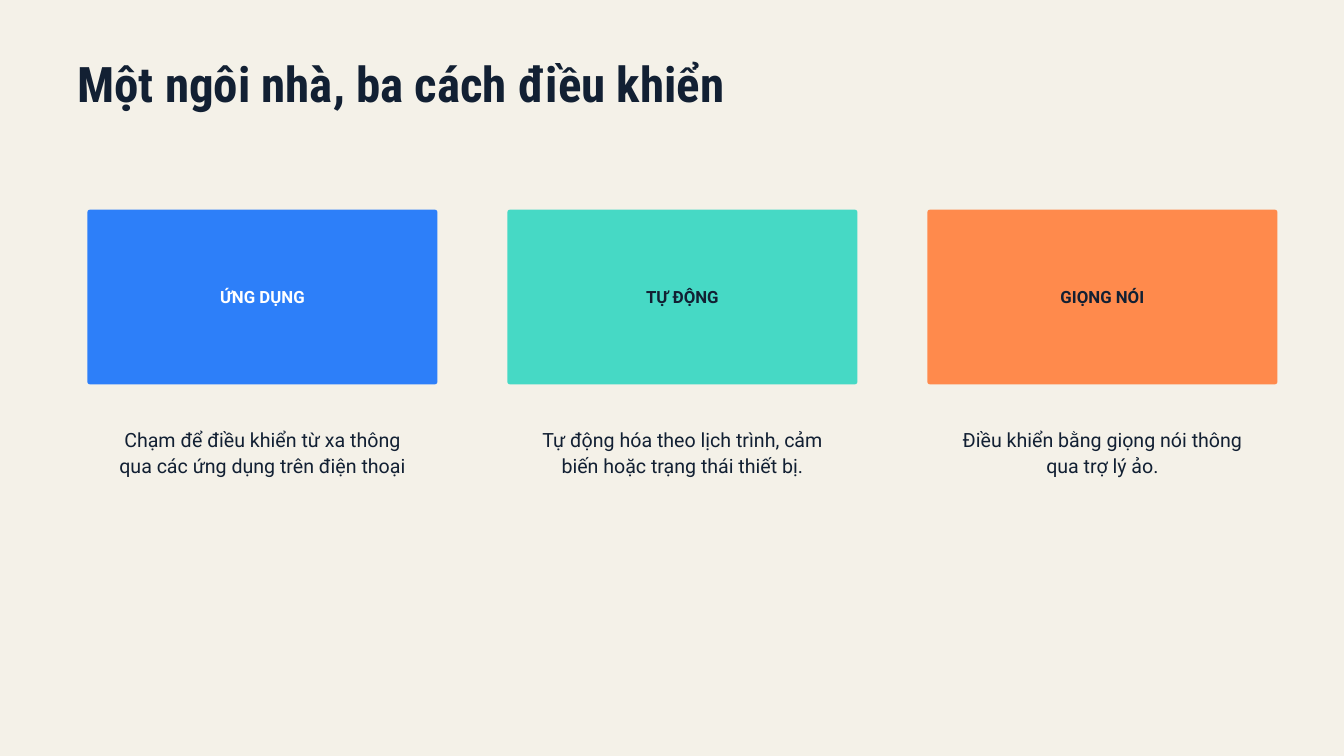
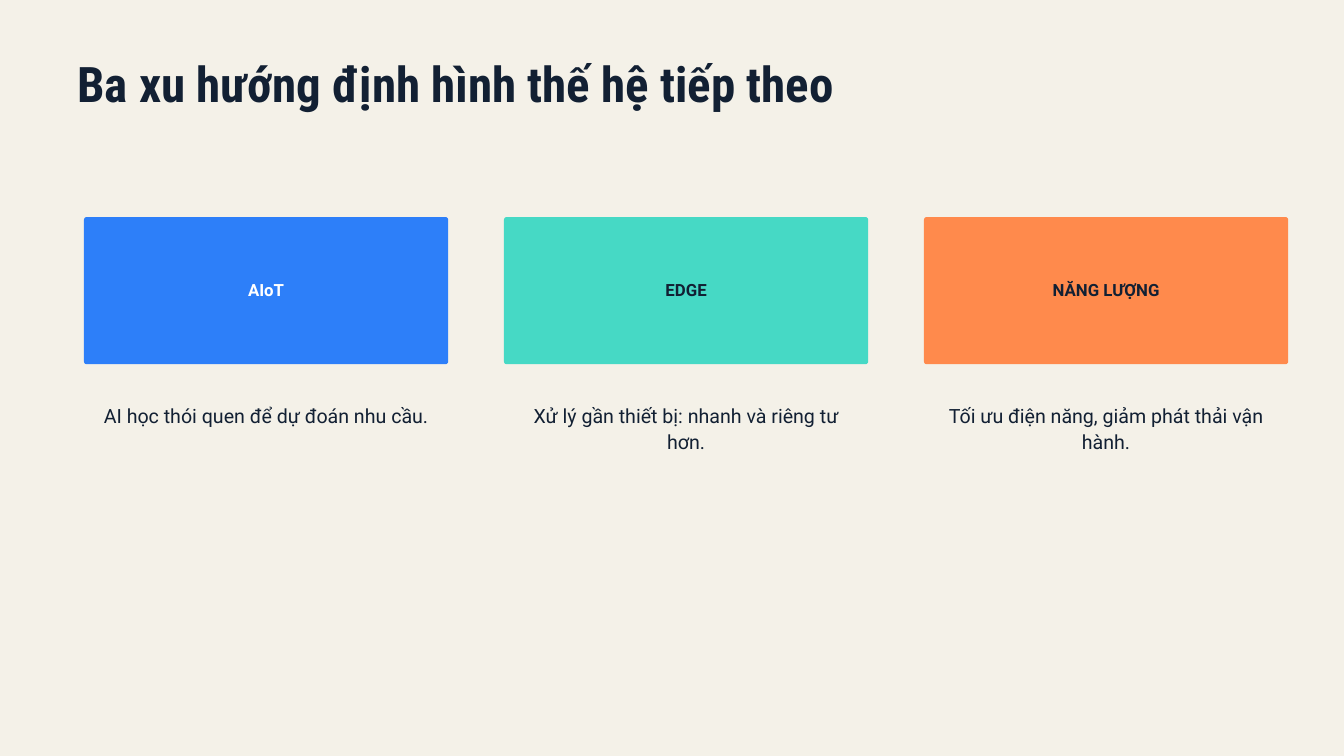
from dataclasses import dataclass

from pptx import Presentation
from pptx.dml.color import RGBColor
from pptx.enum.shapes import MSO_SHAPE as Shape
from pptx.enum.text import MSO_ANCHOR as Anchor, MSO_AUTO_SIZE as AutoSize, PP_ALIGN as Align
from pptx.util import Inches, Pt

COLORS = {
    "cream": "F4F1E8",
    "navy": "122033",
    "white": "FFFFFF",
    "blue": "2D7FF9",
    "teal": "46D9C5",
    "orange": "FF8A4C",
}
CARD_STYLES = [("blue", "white"), ("teal", "navy"), ("orange", "navy")]
COLUMN_PITCH = 6.25
CORNER_RADIUS = 0.04


@dataclass
class ColumnLayout:
    """Sizes in inches of the cards and captions on one slide."""
    left: float
    card_top: float
    card_width: float
    card_height: float
    caption_top: float
    caption_width: float


CONTROL_LAYOUT = ColumnLayout(1.3, 3.12, 5.21, 2.6, 6.32, 4.48)
TREND_LAYOUT = ColumnLayout(1.25, 3.23, 5.42, 2.19, 5.96, 5)

CONTROLS = [
    ("ỨNG DỤNG", "Chạm để điều khiển từ xa thông qua các ứng dụng trên điện thoại", 1.14),
    ("TỰ ĐỘNG", "Tự động hóa theo lịch trình, cảm biến hoặc trạng thái thiết bị.", 1.53),
    ("GIỌNG NÓI", "Điều khiển bằng giọng nói thông qua trợ lý ảo.", 1.14),
]
TRENDS = [
    ("AIoT", "AI học thói quen để dự đoán nhu cầu.", 0.76),
    ("EDGE", "Xử lý gần thiết bị: nhanh và riêng tư hơn.", 0.76),
    ("NĂNG LƯỢNG", "Tối ưu điện năng, giảm phát thải vận hành.", 0.76),
]


def rgb(name):
    """Return the named colour."""
    return RGBColor.from_string(COLORS[name])


def write(frame, text, size, spacing, font="Roboto", color="navy", bold=False,
          align=Align.CENTER, inset=0):
    """Fill a text frame with one styled, wrapping paragraph."""
    frame.word_wrap = True
    frame.margin_left = frame.margin_right = Inches(inset)
    frame.margin_top = frame.margin_bottom = Inches(inset)
    paragraph = frame.paragraphs[0]
    paragraph.text = text
    paragraph.alignment = align
    paragraph.line_spacing = Pt(spacing)
    paragraph.font.name = font
    paragraph.font.size = Pt(size)
    paragraph.font.bold = bold
    paragraph.font.color.rgb = rgb(color)


def add_text(slide, box, text, size, spacing, **style):
    """Add a text box that grows with its text."""
    frame = slide.shapes.add_textbox(*map(Inches, box)).text_frame
    write(frame, text, size, spacing, **style)
    frame.auto_size = AutoSize.SHAPE_TO_FIT_TEXT


def add_card(slide, box, label, fill, ink):
    """Add a coloured card with slightly rounded corners and a label."""
    card = slide.shapes.add_shape(Shape.ROUNDED_RECTANGLE, *map(Inches, box))
    card.adjustments[0] = CORNER_RADIUS / box[3]
    card.shadow.inherit = False
    card.fill.solid()
    card.fill.fore_color.rgb = rgb(fill)
    card.line.fill.background()
    card.text_frame.vertical_anchor = Anchor.MIDDLE
    write(card.text_frame, label, 18, 20.7, color=ink, bold=True, inset=0.06)


def add_columns(slide, layout, columns):
    """Add a row of cards with a centred caption under each."""
    caption_indent = (layout.card_width - layout.caption_width) / 2
    for index, ((label, caption, height), (fill, ink)) in enumerate(zip(columns, CARD_STYLES)):
        left = layout.left + index * COLUMN_PITCH
        add_card(slide, (left, layout.card_top, layout.card_width, layout.card_height),
                 label, fill, ink)
        add_text(slide, (left + caption_indent, layout.caption_top, layout.caption_width, height),
                 caption, 21, 28.4)


def add_slide(deck, title, title_width):
    """Add a cream slide with its title."""
    slide = deck.slides.add_slide(deck.slide_layouts[6])
    slide.background.fill.solid()
    slide.background.fill.fore_color.rgb = rgb("cream")
    add_text(slide, (1.15, 0.93, title_width, 0.78), title, 52.5, 53.5,
             font="Roboto Condensed", bold=True, align=Align.LEFT)
    return slide


def main():
    """Build and save the deck."""
    deck = Presentation()
    deck.slide_width, deck.slide_height = Inches(20), Inches(11.25)
    controls = add_slide(deck, "Một ngôi nhà, ba cách điều khiển", 15.62)
    add_columns(controls, CONTROL_LAYOUT, CONTROLS)
    trends = add_slide(deck, "Ba xu hướng định hình thế hệ tiếp theo", 16.67)
    add_columns(trends, TREND_LAYOUT, TRENDS)
    deck.save("out.pptx")


if __name__ == "__main__":
    main()
